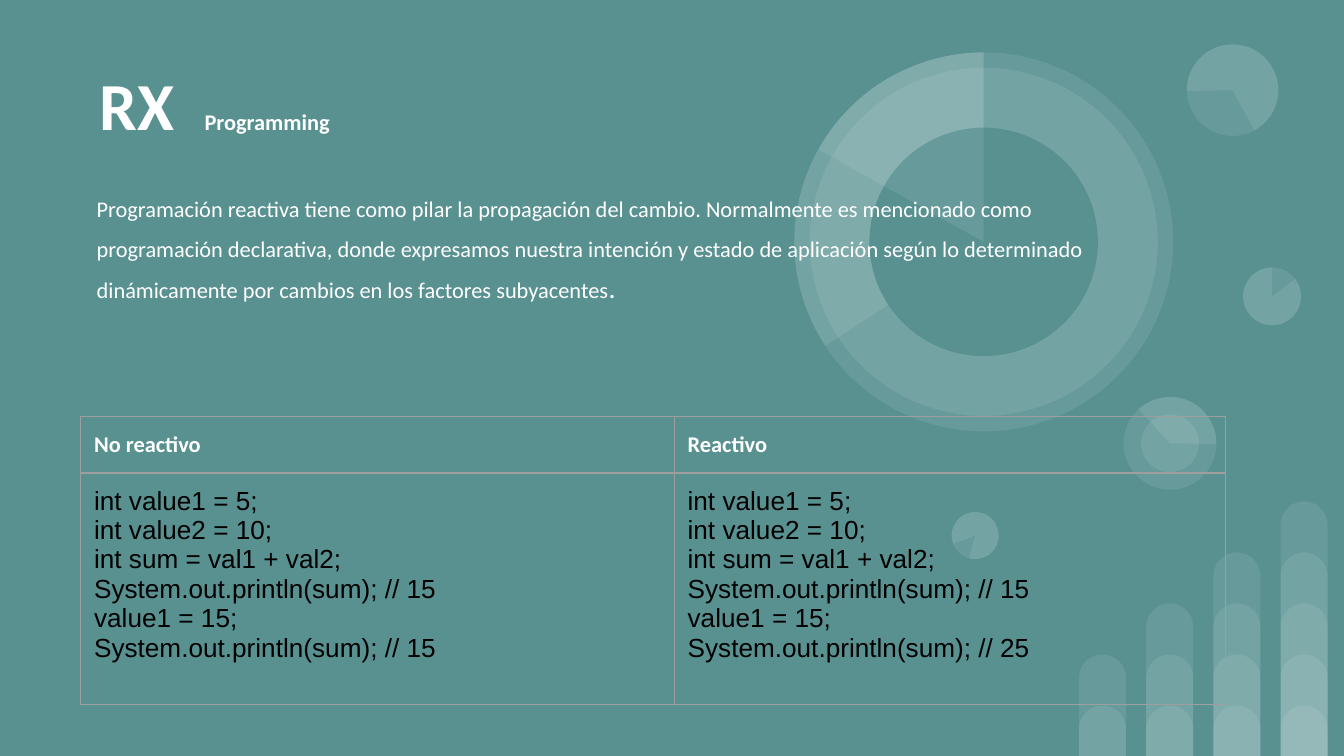
from lxml import etree
from pptx import Presentation
from pptx.dml.color import RGBColor
from pptx.enum.shapes import MSO_SHAPE
from pptx.enum.text import MSO_ANCHOR, MSO_AUTO_SIZE, PP_ALIGN
from pptx.oxml.ns import qn
from pptx.util import Pt

TEAL = RGBColor(0x59, 0x91, 0x91)
WHITE = RGBColor(0xFF, 0xFF, 0xFF)
BLACK = RGBColor(0x00, 0x00, 0x00)
GRAY = RGBColor(0x9E, 0x9E, 0x9E)

ELLIPSE = MSO_SHAPE.OVAL
PIE = MSO_SHAPE.PIE
BAR = MSO_SHAPE.ROUND_2_SAME_RECTANGLE
LEFT = PP_ALIGN.LEFT
MIDDLE = MSO_ANCHOR.MIDDLE
TOP = MSO_ANCHOR.TOP
NO_FIT = MSO_AUTO_SIZE.NONE

PAGE_WIDTH, PAGE_HEIGHT = 720, 405
INSET = 7.2
TOP_ANGLE = 270


class SlideBuilder:
    font = "Calibri"
    code_font = "Arial"
    tint = 9

    def __init__(self, page):
        self.page = page
        page.background.fill.solid()
        page.background.fill.fore_color.rgb = TEAL

    def shape(self, kind, left, top, width, height, color=None):
        shape = self.page.shapes.add_shape(kind, Pt(left), Pt(top), Pt(width), Pt(height))
        shape.shadow.inherit = False
        shape.line.fill.background()
        shape.fill.solid()
        shape.fill.fore_color.rgb = color or WHITE
        if color is None:
            tone = shape._element.spPr.find(".//" + qn("a:srgbClr"))
            etree.SubElement(tone, qn("a:alpha"), val=str(self.tint * 1000))
        return shape

    def bar(self, left, width, height):
        bar = self.shape(BAR, left, PAGE_HEIGHT - height, width, height)
        bar.adjustments[0] = 0.5
        bar.adjustments[1] = 0

    def circle(self, center, diameter, color=None, kind=ELLIPSE):
        x, y = center
        radius = diameter / 2
        return self.shape(kind, x - radius, y - radius, diameter, diameter, color)

    def pie(self, center, diameter, start, end=TOP_ANGLE, rotation=0):
        pie = self.circle(center, diameter, kind=PIE)
        pie.adjustments[0] = start * 0.6
        pie.adjustments[1] = end * 0.6
        pie.rotation = rotation

    def run(self, para, text, size, color=WHITE, bold=False, font=None):
        span = para.add_run()
        span.text = text
        span.font.name = font or self.font
        span.font.size = Pt(size)
        span.font.color.rgb = color
        span.font.bold = bold

    def frame(self, box, left, top, width, height):
        box.left, box.top, box.width, box.height = Pt(left), Pt(top), Pt(width), Pt(height)
        frame = box.text_frame
        frame.word_wrap = True
        frame.auto_size = NO_FIT
        frame.vertical_anchor = MIDDLE
        frame.margin_left = frame.margin_right = Pt(INSET)
        frame.margin_top = frame.margin_bottom = Pt(INSET)
        return frame

    def title(self, runs, left, top, width, height):
        para = self.frame(self.page.shapes.title, left, top, width, height).paragraphs[0]
        para.alignment = LEFT
        for text, size in runs:
            self.run(para, text, size, bold=True)

    def body(self, paragraphs, left, top, width, height):
        box = self.page.shapes.add_textbox(Pt(left), Pt(top), Pt(width), Pt(height))
        frame = self.frame(box, left, top, width, height)
        for index, runs in enumerate(paragraphs):
            para = frame.add_paragraph() if index else frame.paragraphs[0]
            para.line_spacing = 1.5
            for text, bold in runs:
                self.run(para, text, 12, bold=bold)

    def cell(self, cell, lines, anchor, **style):
        cell.fill.background()
        cell.vertical_anchor = anchor
        cell.margin_left = cell.margin_right = Pt(INSET)
        cell.margin_top = cell.margin_bottom = Pt(INSET)
        for index, line in enumerate(lines):
            para = cell.text_frame.add_paragraph() if index else cell.text_frame.paragraphs[0]
            self.run(para, line, **style)
        properties = cell._tc.get_or_add_tcPr()
        for index, side in enumerate(("lnL", "lnR", "lnT", "lnB")):
            border = etree.Element(qn("a:" + side), w=str(Pt(0.75)))
            fill = etree.SubElement(border, qn("a:solidFill"))
            etree.SubElement(fill, qn("a:srgbClr"), val=str(GRAY))
            properties.insert(index, border)

    def table(self, columns, left, top, widths, heights):
        table = self.page.shapes.add_table(
            len(heights), len(widths), Pt(left), Pt(top), Pt(sum(widths)), Pt(sum(heights))
        ).table
        table.first_row = table.horz_banding = False
        for row, height in zip(table.rows, heights):
            row.height = Pt(height)
        for index, (heading, code) in enumerate(columns):
            table.columns[index].width = Pt(widths[index])
            self.cell(table.cell(0, index), [heading], MIDDLE, size=12, bold=True)
            self.cell(table.cell(1, index), code, TOP, size=14, color=BLACK, font=self.code_font)


def draw_decoration(builder):
    for column in range(4):
        for level in range(column + 2):
            builder.bar(578 + 36 * column, 25.2, 27 + 27.35 * level)

    right, low, nested, upper, ring = (
        (681.5, 158.8), (522.4, 286.9), (626.8, 237.5), (660.3, 48.3), (527, 129.6)
    )
    for center, diameter in ((right, 31), (low, 25.2), (nested, 49.7), (nested, 31),
                             (upper, 49), (ring, 203), (ring, 186.5)):
        builder.circle(center, diameter)
    builder.pie(nested, 49.7, 137.41, 270.77, rotation=90)
    builder.pie(right, 31, 322.95)
    builder.pie(upper, 49, 322.95, 205.23, rotation=215.9)
    builder.pie(ring, 203, 146.69)
    builder.circle(ring, 122.4, TEAL)
    builder.pie(ring, 203, 209.24)
    builder.pie(low, 25.2, 322.95, rotation=196.2)


def code_lines(final_sum):
    return [
        "int value1 = 5;",
        "int value2 = 10;",
        "int sum = val1 + val2;",
        "System.out.println(sum); // 15",
        "value1 = 15;",
        f"System.out.println(sum); // {final_sum}",
    ]


def main():
    deck = Presentation()
    deck.slide_width, deck.slide_height = Pt(PAGE_WIDTH), Pt(PAGE_HEIGHT)
    builder = SlideBuilder(deck.slides.add_slide(deck.slide_layouts[5]))
    draw_decoration(builder)
    builder.title([("RX", 36), (" ", 72), ("Programming", 12)], 46, 21, 613.5, 40.5)
    builder.body(
        [
            [("Programación reactiva tiene como pilar la propagación del cambio. "
              "Normalmente es mencionado como", False)],
            [("programación declarativa, donde expresamos nuestra intención y estado de "
              "aplicación según lo determinado dinámicamente por cambios en los factores "
              "subyacentes", False), (".", True)],
        ],
        44.7, 81.5, 610, 96.5,
    )
    builder.table(
        [("No reactivo", code_lines(15)), ("Reactivo", code_lines(25))],
        43.2, 223.2, (318, 295.2), (30.2, 124),
    )
    deck.save("out.pptx")


if __name__ == "__main__":
    main()
